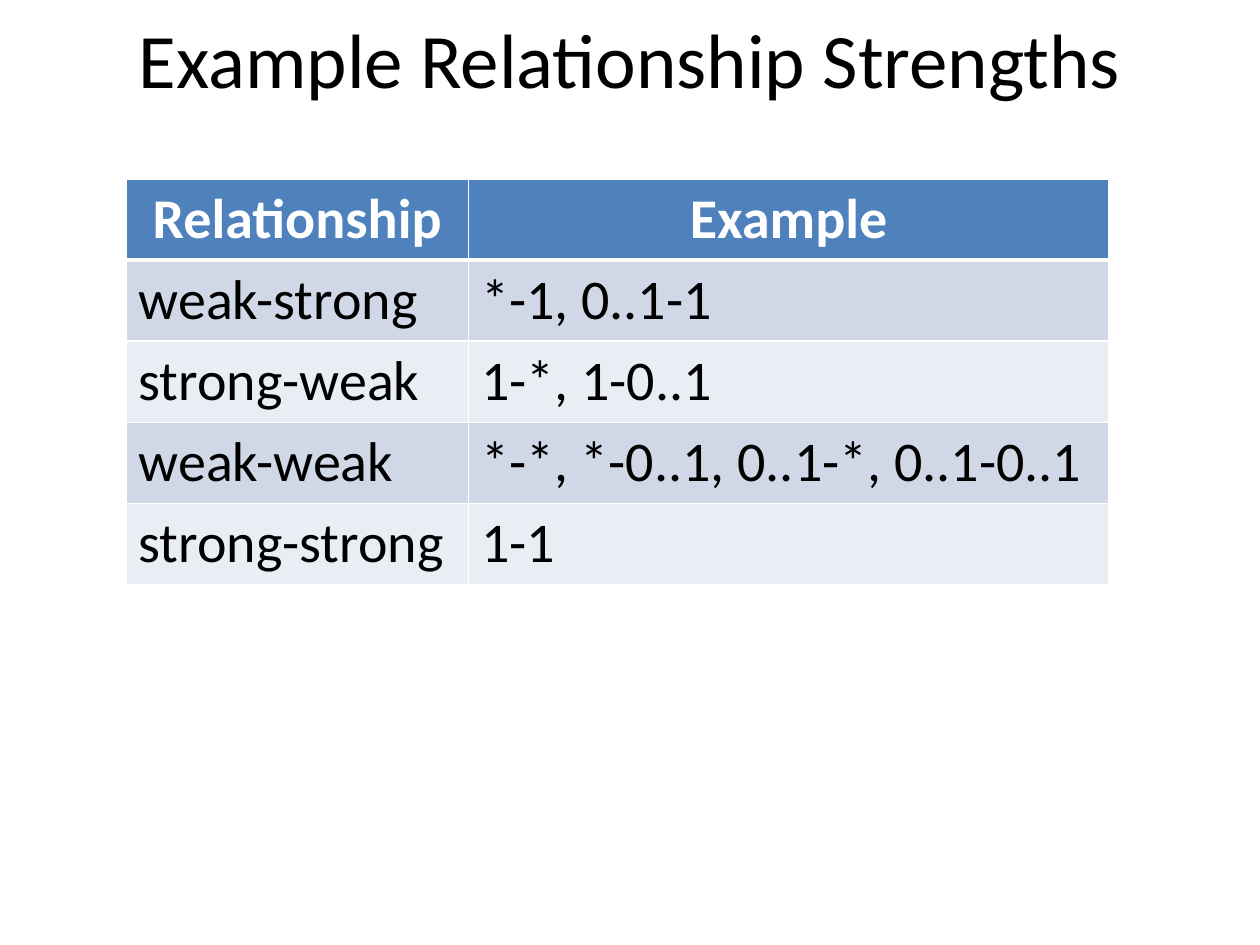
import pptx
import pptx.dml.color
import pptx.enum.text
import pptx.oxml
import pptx.oxml.ns
import pptx.util
from pptx.util import Inches

ALIGN = pptx.enum.text.PP_ALIGN
ANCHOR = pptx.enum.text.MSO_ANCHOR


def rgb(value):
    return pptx.dml.color.RGBColor.from_string(value)


class SlideBuilder:
    font_name = "Calibri"
    ink = "000000"
    paper = "FFFFFF"
    header_fill = "4F81BD"
    band_fills = ("D0D8E8", "E9EDF4")

    def __init__(self, slide):
        self.slide = slide

    def style(self, paragraph, size, color, align, bold=False):
        paragraph.alignment = align
        font = paragraph.font
        font.name = self.font_name
        font.size = pptx.util.Pt(size)
        font.bold = bold
        font.color.rgb = rgb(color)

    def title(self, text, left, top, width, height):
        title = self.slide.shapes.title
        title.left, title.top = Inches(left), Inches(top)
        title.width, title.height = Inches(width), Inches(height)
        title.text_frame.text = text
        title.text_frame.vertical_anchor = ANCHOR.MIDDLE
        self.style(title.text_frame.paragraphs[0], 44, self.ink, ALIGN.CENTER)

    def borders(self, cell, top, bottom):
        properties = cell._tc.get_or_add_tcPr()
        widths = {"lnL": 1, "lnR": 1, "lnT": top, "lnB": bottom}
        for index, (side, width) in enumerate(widths.items()):
            properties.insert(index, pptx.oxml.parse_xml(
                f'<a:{side} {pptx.oxml.ns.nsdecls("a")} w="{pptx.util.Pt(width)}">'
                f'<a:solidFill><a:srgbClr val="{self.paper}"/></a:solidFill></a:{side}>'))

    def table(self, rows, left, top, column_widths, row_height):
        table = self.slide.shapes.add_table(
            len(rows), len(column_widths), Inches(left), Inches(top),
            Inches(sum(column_widths)), Inches(row_height * len(rows))).table
        for column, width in zip(table.columns, column_widths):
            column.width = Inches(width)
        for row_index, row in enumerate(rows):
            header = row_index == 0
            fill = self.header_fill if header else self.band_fills[(row_index - 1) % 2]
            for column_index, text in enumerate(row):
                cell = table.cell(row_index, column_index)
                cell.text = text
                cell.fill.solid()
                cell.fill.fore_color.rgb = rgb(fill)
                self.style(cell.text_frame.paragraphs[0], 32,
                           self.paper if header else self.ink,
                           ALIGN.CENTER if header else ALIGN.LEFT, header)
                self.borders(cell, 3 if row_index == 1 else 1, 3 if header else 1)


presentation = pptx.Presentation()
presentation.slide_width = Inches(10)
presentation.slide_height = Inches(7.5)
builder = SlideBuilder(presentation.slides.add_slide(presentation.slide_layouts[5]))

builder.title("Example Relationship Strengths", 0, 0, 10, 0.92)

relationship_examples = [
    ("Relationship", "Example"),
    ("weak-strong", "*-1, 0..1-1"),
    ("strong-weak", "1-*, 1-0..1"),
    ("weak-weak", "*-*, *-0..1, 0..1-*, 0..1-0..1"),
    ("strong-strong", "1-1"),
]
builder.table(relationship_examples, 1, 1.42, (2.72, 5.08), 0.64)

presentation.save("out.pptx")
